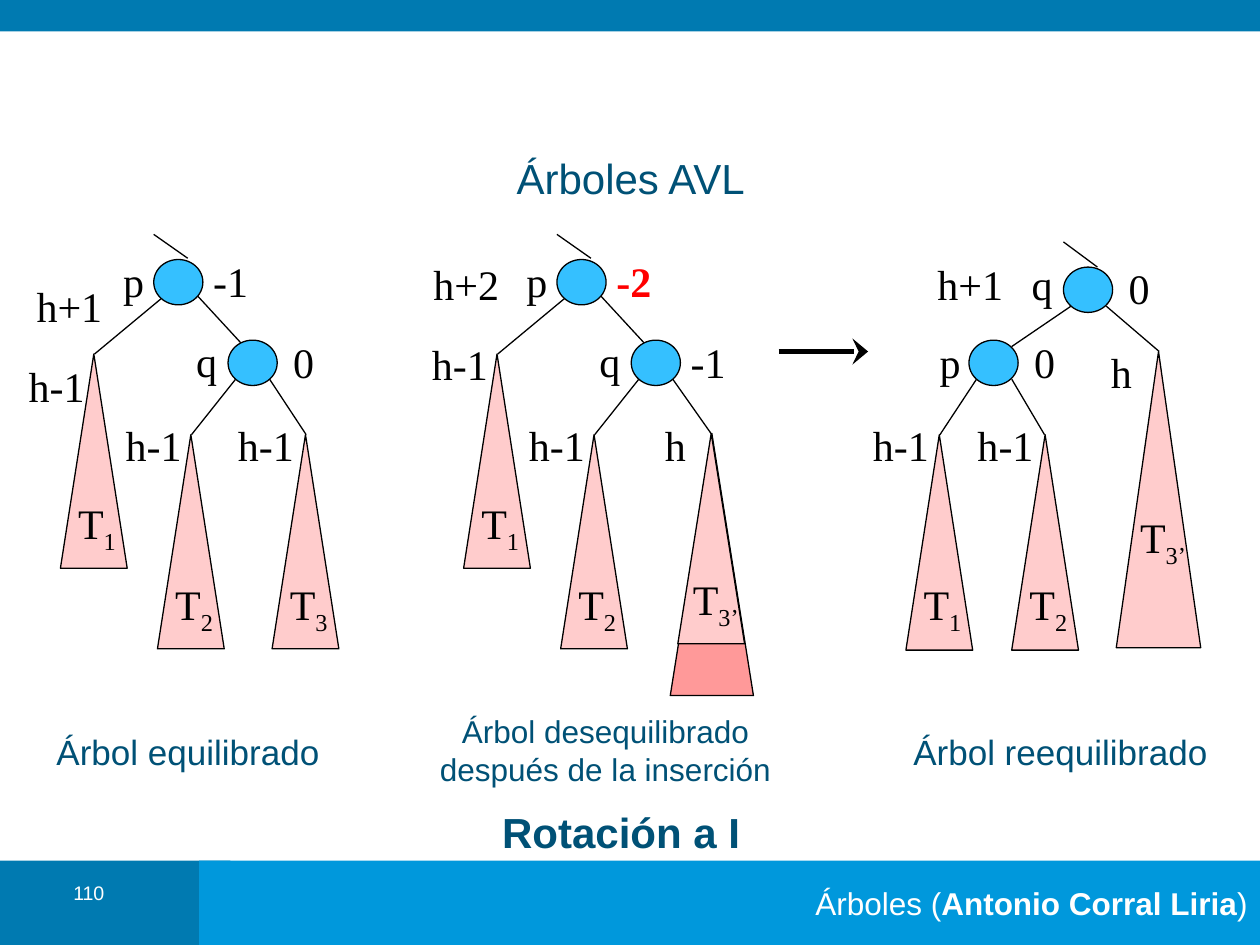
from lxml.etree import SubElement
from pptx import Presentation
from pptx.dml.color import RGBColor
from pptx.enum.shapes import MSO_CONNECTOR, MSO_SHAPE
from pptx.enum.text import MSO_ANCHOR, PP_ALIGN
from pptx.oxml.ns import qn
from pptx.util import Inches, Pt

BLACK, WHITE, RED, NAVY = "000000", "FFFFFF", "FF0000", "005176"
DARK_BLUE, BLUE, NODE = "007AB1", "0098DC", "35C0FF"
PINK, DARK_PINK = "FFCCCC", "FF9999"
SERIF, SANS = "Times New Roman", "Arial"

prs = Presentation()
prs.slide_width, prs.slide_height = Inches(10), Inches(7.5)
s = prs.slides.add_slide(prs.slide_layouts[5])


def fill_text(sp, runs, font, size, color, align=PP_ALIGN.CENTER, anchor=MSO_ANCHOR.MIDDLE, wrap=False):
    """Write (text, bold, subscript) runs as the only paragraph of sp."""
    tf = sp.text_frame
    tf.word_wrap = wrap
    tf.vertical_anchor = anchor
    p = tf.paragraphs[0]
    p.alignment = align
    for text, bold, subscript in runs:
        r = p.add_run()
        r.text = text
        r.font.name, r.font.size, r.font.bold = font, Pt(size), bold
        r.font.color.rgb = RGBColor.from_string(color)
        if subscript:
            r._r.get_or_add_rPr().set("baseline", "-25000")


def add_shape(kind, x, y, w, h, fill, line=None):
    sp = s.shapes.add_shape(kind, Inches(x), Inches(y), Inches(w), Inches(h))
    sp.shadow.inherit = False
    sp.fill.solid()
    sp.fill.fore_color.rgb = RGBColor.from_string(fill)
    if line:
        sp.line.color.rgb = RGBColor.from_string(line)
        sp.line.width = Pt(0.75)
    else:
        sp.line.fill.background()
    return sp


# Bars, page number and title
add_shape(MSO_SHAPE.RECTANGLE, 0, 6.83, 1.83, 0.67, DARK_BLUE)
footer = add_shape(MSO_SHAPE.RECTANGLE, 1.58, 6.83, 8.42, 0.67, BLUE)
fill_text(footer, [("Árboles (", False, False), ("Antonio Corral Liria", True, False), (")", False, False)],
          SANS, 18, WHITE, PP_ALIGN.RIGHT, wrap=True)
add_shape(MSO_SHAPE.RECTANGLE, 0, 0, 10, 0.25, DARK_BLUE)

number = s.shapes.add_textbox(Inches(0.35), Inches(6.98), Inches(0.71), Inches(0.32))
fill_text(number, [("110", False, False)], SANS, 11.2, WHITE, anchor=MSO_ANCHOR.TOP, wrap=True)
number.text_frame.paragraphs[0].line_spacing = 0.8

title = s.shapes.title
title.left, title.top, title.width, title.height = Inches(0.83), Inches(1.2), Inches(8.35), Inches(0.42)
fill_text(title, [("Árboles AVL", False, False)], SANS, 24, NAVY, wrap=True)

# The first two trees share one layout, shifted sideways
edges, nodes, subtrees, labels = [], [], [], []
for dx in (0, 3.2):
    edges += [(x1 + dx, y1, x2 + dx, y2) for x1, y1, x2, y2 in (
        (1.49, 2.05, 1.22, 1.86), (1.28, 2.37, 0.75, 2.81), (1.56, 2.34, 1.92, 2.73),
        (1.87, 3.01, 1.52, 3.45), (2.14, 3.01, 2.43 + dx / 160 * 1, 3.45))]
    nodes += [(1.22 + dx, 2.06), (1.81 + dx, 2.7)]
    subtrees += [(0.48 + dx, 2.81, 0.53, 1.7, PINK), (1.25 + dx, 3.45, 0.53, 1.7, PINK)]
    labels += [("p", 1.06 + dx, 2.23), ("q", 1.64 + dx, 2.86),
               ("h-1", 1.22 + dx, 3.53), ("T1", 0.77 + dx, 4.18), ("T2", 1.54 + dx, 4.82)]

# Balanced tree
subtrees += [(2.16, 3.45, 0.53, 1.7, PINK)]
labels += [("h+1", 0.55, 2.43), ("-1", 1.83, 2.23), ("h-1", 0.45, 3.06),
           ("0", 2.41, 2.87), ("h-1", 2.11, 3.53), ("T3", 2.45, 4.82)]

# Unbalanced tree, with the grown part under the third subtree
subtrees += [(5.32, 3.44, 0.66, 2.08, DARK_PINK), (5.38, 3.44, 0.53, 1.67, PINK)]
labels += [("h+2", 3.7, 2.25), ("-2", 5.03, 2.23), ("h-1", 3.65, 2.89),
           ("-1", 5.62, 2.87), ("h", 5.36, 3.53), ("T3’", 5.68, 4.78)]

# Rebalanced tree
edges += [(8.71, 2.12, 8.44, 1.92), (8.5, 2.43, 8.03, 2.75), (8.78, 2.43, 9.2, 2.79),
          (7.75, 3.01, 7.46, 3.45), (8.03, 3.01, 8.29, 3.45)]
nodes += [(8.44, 2.12), (7.69, 2.7)]
subtrees += [(7.19, 3.45, 0.53, 1.71, PINK), (8.03, 3.45, 0.53, 1.71, PINK), (8.86, 2.79, 0.67, 2.35, PINK)]
labels += [("h+1", 7.7, 2.25), ("q", 8.27, 2.25), ("0", 9.04, 2.28), ("p", 7.54, 2.87),
           ("0", 8.29, 2.87), ("h", 8.9, 2.95), ("h-1", 7.15, 3.53), ("h-1", 7.98, 3.53),
           ("T1", 7.48, 4.82), ("T2", 8.32, 4.82), ("T3’", 9.23, 4.29)]

rotation = (6.18, 2.79, 6.89, 2.79)
for ends in edges + [rotation]:
    line = s.shapes.add_connector(MSO_CONNECTOR.STRAIGHT, *[Inches(v) for v in ends])
    line.line.color.rgb = RGBColor.from_string(BLACK)
    line.line.width = Pt(3 if ends == rotation else 0.75)
    if ends == rotation:
        SubElement(line.line._get_or_add_ln(), qn("a:tailEnd"), type="stealth", w="lg", len="med")
    SubElement(line._element.spPr, qn("a:effectLst"))

for x, y in nodes:
    add_shape(MSO_SHAPE.OVAL, x, y, 0.39, 0.36, NODE, BLACK)
for x, y, w, h, fill in subtrees:
    add_shape(MSO_SHAPE.ISOSCELES_TRIANGLE, x, y, w, h, fill, BLACK)

# Labels are given by their centres
for text, cx, cy in labels:
    w, h = 0.75, 0.5
    sp = s.shapes.add_textbox(Inches(cx - w / 2), Inches(cy - h / 2), Inches(w), Inches(h))
    critical = text == "-2"
    runs = [(text, critical, False)]
    if text.startswith("T"):
        runs = [("T", False, False), (text[1:], False, True)]
    fill_text(sp, runs, SERIF, 24, RED if critical else BLACK)

# Captions
for text, x, y, w, h, size, bold, align in (
        ("Árbol equilibrado", 0.35, 5.75, 2.47, 0.44, 20, False, PP_ALIGN.LEFT),
        ("Árbol desequilibrado después de la inserción", 3.36, 5.6, 2.89, 1, 18, False, PP_ALIGN.CENTER),
        ("Árbol reequilibrado", 7.15, 5.75, 2.74, 0.44, 20, False, PP_ALIGN.LEFT),
        ("Rotación a I", 3.16, 6.35, 3.54, 0.5, 24, True, PP_ALIGN.CENTER)):
    sp = s.shapes.add_textbox(Inches(x), Inches(y), Inches(w), Inches(h))
    fill_text(sp, [(text, bold, False)], SANS, size, NAVY, align, MSO_ANCHOR.TOP, wrap=True)

prs.save("out.pptx")
